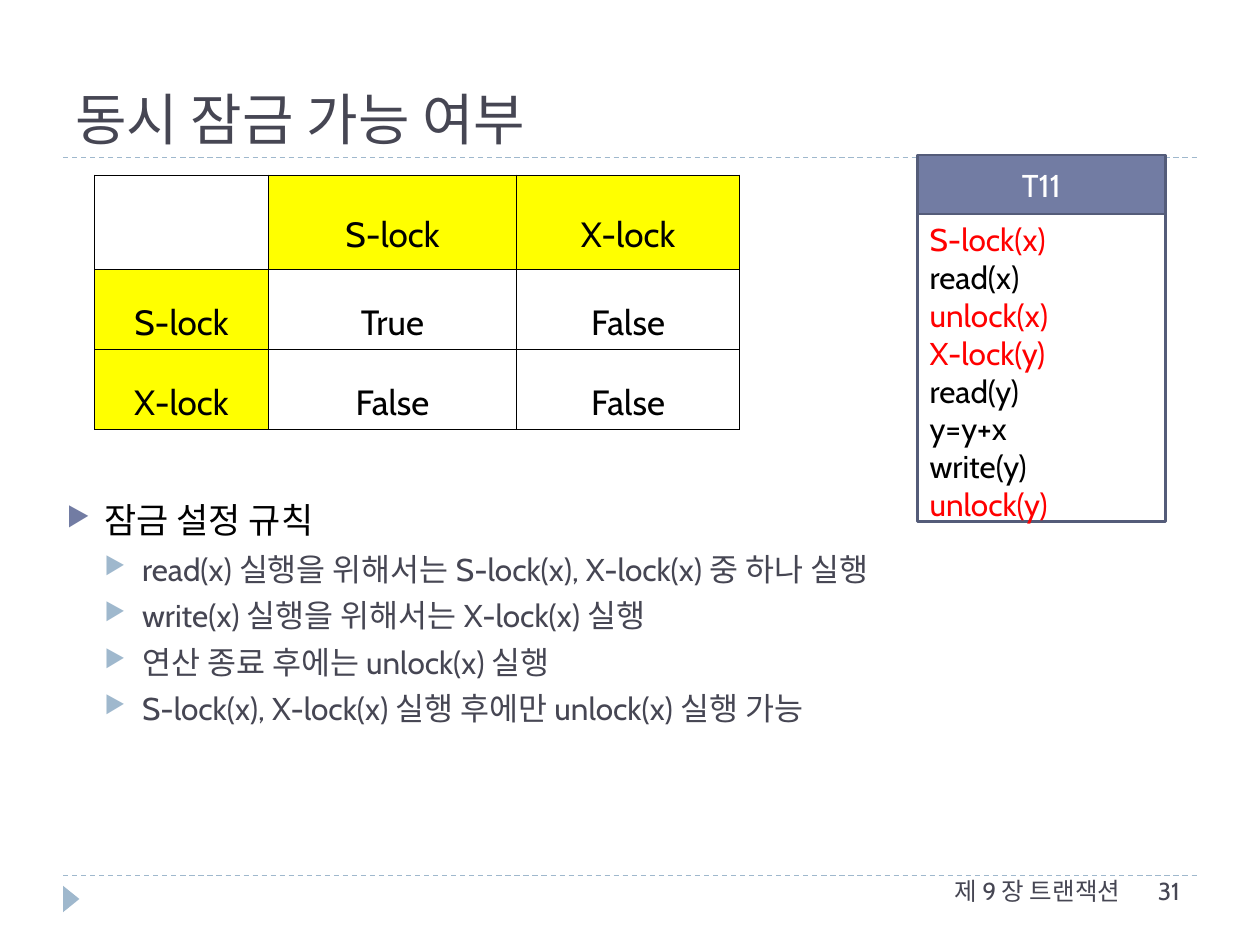
from lxml.etree import SubElement
from pptx import Presentation
from pptx.dml.color import RGBColor
from pptx.enum.dml import MSO_LINE
from pptx.enum.shapes import MSO_CONNECTOR, MSO_SHAPE
from pptx.enum.text import MSO_ANCHOR, PP_ALIGN
from pptx.oxml import parse_xml
from pptx.oxml.ns import nsdecls, qn
from pptx.util import Inches, Pt


def color(hex_string):
    return RGBColor.from_string(hex_string)


class SlideBuilder:
    font = "Cabin"
    title_font = "Roboto Slab"
    dark = "464653"
    accent = "727CA3"
    light = "9FB8CD"
    outline = "545C79"
    black = "000000"
    white = "FFFFFF"
    red = "FF0000"
    yellow = "FFFF00"

    def __init__(self, slide):
        self.slide = slide

    def format_paragraph(self, paragraph, size, text_color, font=None, align=PP_ALIGN.LEFT):
        paragraph.alignment = align
        for run in paragraph.runs:
            run.font.size = Pt(size)
            run.font.name = font or self.font
            run.font.color.rgb = color(text_color)

    def text(self, box, text, size, text_color, font=None, align=PP_ALIGN.LEFT,
             anchor=MSO_ANCHOR.TOP):
        shape = self.slide.shapes.add_textbox(*map(Inches, box))
        text_frame = shape.text_frame
        text_frame.word_wrap = True
        text_frame.vertical_anchor = anchor
        text_frame.text = text
        self.format_paragraph(text_frame.paragraphs[0], size, text_color, font, align)

    def dashed_line(self, left, right, top):
        line = self.slide.shapes.add_connector(
            MSO_CONNECTOR.STRAIGHT, Inches(left), Inches(top), Inches(right), Inches(top))
        line.line.color.rgb = color(self.light)
        line.line.width = Pt(0.75)
        line.line.dash_style = MSO_LINE.DASH
        SubElement(line._element.spPr, qn("a:effectLst"))

    def shape(self, kind, box, fill, outline=None):
        shape = self.slide.shapes.add_shape(kind, *map(Inches, box))
        shape.shadow.inherit = False
        shape.fill.solid()
        shape.fill.fore_color.rgb = color(fill)
        if outline:
            shape.line.color.rgb = color(outline)
            shape.line.width = Pt(1.5)
        else:
            shape.line.fill.background()
        return shape

    def text_panel(self, box, fill, lines, align, anchor):
        """Draw an outlined rectangle holding (text, colour) lines."""
        text_frame = self.shape(MSO_SHAPE.RECTANGLE, box, fill, self.outline).text_frame
        text_frame.vertical_anchor = anchor
        text_frame.text = "\n".join(text for text, _ in lines)
        for paragraph, (_, text_color) in zip(text_frame.paragraphs, lines):
            self.format_paragraph(paragraph, 18, text_color, align=align)

    def bullet_list(self, box, items):
        """Add a list of (level, text) items with triangle bullets."""
        styles = [(20, self.black, self.accent, 6), (18, self.dark, self.light, 5)]
        text_frame = self.slide.shapes.add_textbox(*map(Inches, box)).text_frame
        text_frame.word_wrap = True
        text_frame.text = "\n".join(text for _, text in items)
        for paragraph, (level, _) in zip(text_frame.paragraphs, items):
            size, text_color, bullet_color, space = styles[level]
            self.format_paragraph(paragraph, size, text_color)
            paragraph.level = level
            paragraph.space_before = Pt(space)
            properties = paragraph._p.get_or_add_pPr()
            properties.set("marL", str(Inches(0.3 * (level + 1))))
            properties.set("indent", str(Inches(-0.3)))
            bullet = SubElement(properties, qn("a:buClr"))
            SubElement(bullet, qn("a:srgbClr"), val=bullet_color)
            SubElement(properties, qn("a:buSzPct"), val="76000")
            SubElement(properties, qn("a:buChar"), char="▶")

    def cell_borders(self, cell):
        properties = cell._tc.get_or_add_tcPr()
        for index, side in enumerate(("lnL", "lnR", "lnT", "lnB")):
            properties.insert(index, parse_xml(
                f'<a:{side} {nsdecls("a")} w="{Pt(0.56)}"><a:solidFill>'
                f'<a:srgbClr val="{self.black}"/></a:solidFill></a:{side}>'))

    def table(self, box, widths, heights, rows):
        """Add a bordered grid whose labelled first row and column are highlighted."""
        table = self.slide.shapes.add_table(
            len(heights), len(widths), *map(Inches, box)).table
        table.first_row = table.horz_banding = False
        for column, width in zip(table.columns, widths):
            column.width = Inches(width)
        for row, height in zip(table.rows, heights):
            row.height = Inches(height)
        for row_index, row in enumerate(rows):
            for column_index, text in enumerate(row):
                cell = table.cell(row_index, column_index)
                cell.text = text
                cell.vertical_anchor = MSO_ANCHOR.MIDDLE
                paragraph = cell.text_frame.paragraphs[0]
                self.format_paragraph(paragraph, 20, self.black, align=PP_ALIGN.CENTER)
                paragraph.line_spacing = 1.6
                if text and 0 in (row_index, column_index):
                    cell.fill.solid()
                    cell.fill.fore_color.rgb = color(self.yellow)
                else:
                    cell.fill.background()
                self.cell_borders(cell)


def main():
    presentation = Presentation()
    presentation.slide_width, presentation.slide_height = Inches(10), Inches(7.5)
    builder = SlideBuilder(presentation.slides.add_slide(presentation.slide_layouts[6]))

    for top in (6.95, 1.25):
        builder.dashed_line(0.5, 9.5, top)
    marker = builder.shape(MSO_SHAPE.ISOSCELES_TRIANGLE, (0.46, 7.07, 0.21, 0.13), builder.light)
    marker.rotation = 90

    builder.text((0.5, 0.17, 9, 1.08), "동시 잠금 가능 여부", 32, builder.dark,
                 font=builder.title_font, anchor=MSO_ANCHOR.BOTTOM)
    builder.table((0.75, 1.39, 5.12, 2.02), (1.38, 1.97, 1.77), (0.75, 0.53, 0.49), [
        ("", "S-lock", "X-lock"),
        ("S-lock", "True", "False"),
        ("X-lock", "False", "False"),
    ])
    builder.bullet_list((0.43, 3.91, 9, 3.14), [
        (0, "잠금 설정 규칙"),
        (1, "read(x) 실행을 위해서는 S-lock(x), X-lock(x) 중 하나 실행"),
        (1, "write(x) 실행을 위해서는 X-lock(x) 실행"),
        (1, "연산 종료 후에는 unlock(x) 실행"),
        (1, "S-lock(x), X-lock(x) 실행 후에만 unlock(x) 실행 가능"),
    ])

    operations = ("S-lock(x)", "read(x)", "unlock(x)", "X-lock(y)",
                  "read(y)", "y=y+x", "write(y)", "unlock(y)")
    builder.text_panel((7.28, 1.23, 1.97, 0.47), builder.accent, [("T11", builder.white)],
                       PP_ALIGN.CENTER, MSO_ANCHOR.MIDDLE)
    builder.text_panel(
        (7.28, 1.7, 1.97, 2.44), builder.white,
        [(text, builder.red if "lock" in text else builder.black) for text in operations],
        PP_ALIGN.LEFT, MSO_ANCHOR.TOP)

    builder.text((5.19, 6.9, 3.8, 0.4), "제 9 장 트랜잭션", 14, builder.dark,
                 align=PP_ALIGN.RIGHT)
    builder.text((9.09, 6.9, 0.71, 0.4), "31", 14, builder.dark)
    presentation.save("out.pptx")


if __name__ == "__main__":
    main()
